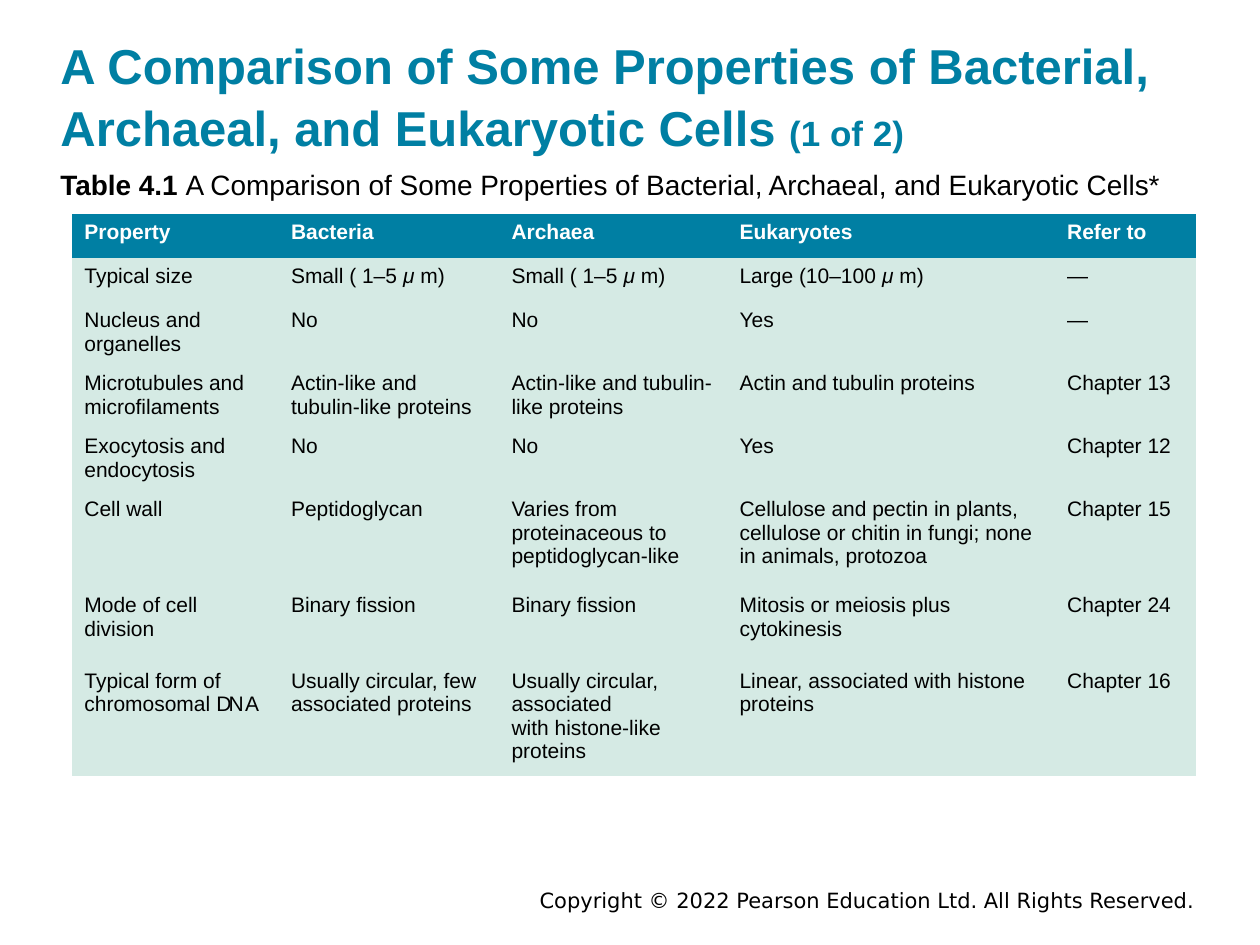
from dataclasses import dataclass

from pptx import Presentation
from pptx.dml.color import RGBColor
from pptx.enum.text import MSO_ANCHOR, PP_ALIGN
from pptx.util import Inches, Pt


@dataclass(frozen=True)
class Theme:
    accent: RGBColor = RGBColor(0x00, 0x7F, 0xA3)
    body_fill: RGBColor = RGBColor(0xD5, 0xEA, 0xE4)
    ink: RGBColor = RGBColor(0, 0, 0)
    white: RGBColor = RGBColor(255, 255, 255)
    font: str = "Arial"
    footer_font: str = "DejaVu Sans"
    title_size: int = 28
    part_size: int = 20
    caption_size: int = 16
    small_size: int = 12


THEME = Theme()
COLUMN_WIDTHS = [1.64, 1.75, 1.81, 2.6, 1.12]
ROW_HEIGHTS = [0.35, 0.35, 0.5, 0.5, 0.5, 0.76, 0.6, 0.89]
MICRO, TIGHT = "μ ", "D N "  # italic unit sign, closely spaced letters

# A line break within a cell starts a new paragraph
ROWS = [
    ["Property", "Bacteria", "Archaea", "Eukaryotes", "Refer to"],
    ["Typical size", "Small ( 1–5 μ m)", "Small ( 1–5 μ m)", "Large (10–100 μ m)", "—"],
    ["Nucleus and organelles", "No", "No", "Yes", "—"],
    ["Microtubules and\nmicrofilaments", "Actin-like and tubulin-like proteins",
     "Actin-like and tubulin-like proteins", "Actin and tubulin proteins", "Chapter 13"],
    ["Exocytosis and endocytosis", "No", "No", "Yes", "Chapter 12"],
    ["Cell wall", "Peptidoglycan", "Varies from proteinaceous to\npeptidoglycan-like",
     "Cellulose and pectin in plants, cellulose or chitin in fungi; none in animals, protozoa",
     "Chapter 15"],
    ["Mode of cell division", "Binary fission", "Binary fission",
     "Mitosis or meiosis plus\ncytokinesis", "Chapter 24"],
    ["Typical form of\nchromosomal D N A", "Usually circular, few\nassociated proteins",
     "Usually circular, associated\nwith histone-like proteins",
     "Linear, associated with histone\nproteins", "Chapter 16"],
]


def set_font(font, size, color, bold=False, name=THEME.font):
    font.name, font.size, font.bold = name, Pt(size), bold
    font.color.rgb = color


def add_span(para, text):
    span = para.add_run()
    span.text = text
    return span


def add_text_box(page, area, anchor, inset=0.0):
    """Place a wrapping text box and return its first paragraph."""
    frame = page.shapes.add_textbox(*map(Inches, area)).text_frame
    frame.word_wrap = True
    frame.vertical_anchor = anchor
    frame.margin_left = frame.margin_right = Inches(inset)
    frame.margin_top = frame.margin_bottom = Inches(inset / 2)
    return frame.paragraphs[0]


def add_title(page, area):
    para = add_text_box(page, area, MSO_ANCHOR.MIDDLE)
    para.line_spacing = 1.05
    set_font(para.font, THEME.title_size, THEME.accent, bold=True)
    add_span(para, "A Comparison of Some Properties of Bacterial, Archaeal, and Eukaryotic Cells ")
    add_span(para, "(1 of 2)").font.size = Pt(THEME.part_size)


def add_caption(page, area):
    para = add_text_box(page, area, MSO_ANCHOR.TOP)
    set_font(para.font, THEME.caption_size, THEME.ink)
    add_span(para, "Table 4.1 ").font.bold = True
    add_span(para, "A Comparison of Some Properties of Bacterial, Archaeal, and Eukaryotic Cells*")


def add_footer(page, area):
    para = add_text_box(page, area, MSO_ANCHOR.MIDDLE, inset=0.1)
    para.alignment = PP_ALIGN.RIGHT
    set_font(para.font, THEME.small_size, THEME.ink, name=THEME.footer_font)
    add_span(para, "Copyright © 2022 Pearson Education Ltd. All Rights Reserved.")


def fill_paragraph(para, text):
    """Write a line, giving the unit sign and the tight letters their own span."""
    mark = next((token for token in (MICRO, TIGHT) if token in text), None)
    if mark is None:
        add_span(para, text)
        return
    before, _, after = text.partition(mark)
    add_span(para, before)
    span = add_span(para, mark)
    if mark == MICRO:
        span.font.italic = True
    else:
        span.font._element.set("spc", "-250")
    add_span(para, after)


def fill_cell(cell, text, is_header):
    cell.fill.solid()
    cell.fill.fore_color.rgb = THEME.accent if is_header else THEME.body_fill
    frame = cell.text_frame
    for index, line in enumerate(text.split("\n")):
        para = frame.paragraphs[0] if index == 0 else frame.add_paragraph()
        set_font(para.font, THEME.small_size,
                 THEME.white if is_header else THEME.ink, bold=is_header)
        fill_paragraph(para, line)


def add_comparison_table(page, left, top):
    area = (left, top, sum(COLUMN_WIDTHS), sum(ROW_HEIGHTS))
    table = page.shapes.add_table(len(ROWS), len(COLUMN_WIDTHS), *map(Inches, area)).table
    table.horz_banding = False
    for column, width in zip(table.columns, COLUMN_WIDTHS):
        column.width = Inches(width)
    for row, height in zip(table.rows, ROW_HEIGHTS):
        row.height = Inches(height)
    # The theme's table style draws white rules, so use the plain style
    style = table._tbl.tblPr.find("{*}tableStyleId")
    style.text = "{2D5ABB26-0587-4C30-8999-92F81FD0307C}"
    for row_index, texts in enumerate(ROWS):
        for column_index, text in enumerate(texts):
            fill_cell(table.cell(row_index, column_index), text, row_index == 0)


def main():
    deck = Presentation()
    deck.slide_width, deck.slide_height = Inches(10), Inches(7.5)
    page = deck.slides.add_slide(deck.slide_layouts[6])
    add_footer(page, (1.75, 7.03, 7.83, 0.22))
    add_title(page, (0.48, 0.28, 9, 0.94))
    add_caption(page, (0.48, 1.33, 9, 0.27))
    add_comparison_table(page, 0.57, 1.7)
    deck.save("out.pptx")


if __name__ == "__main__":
    main()
